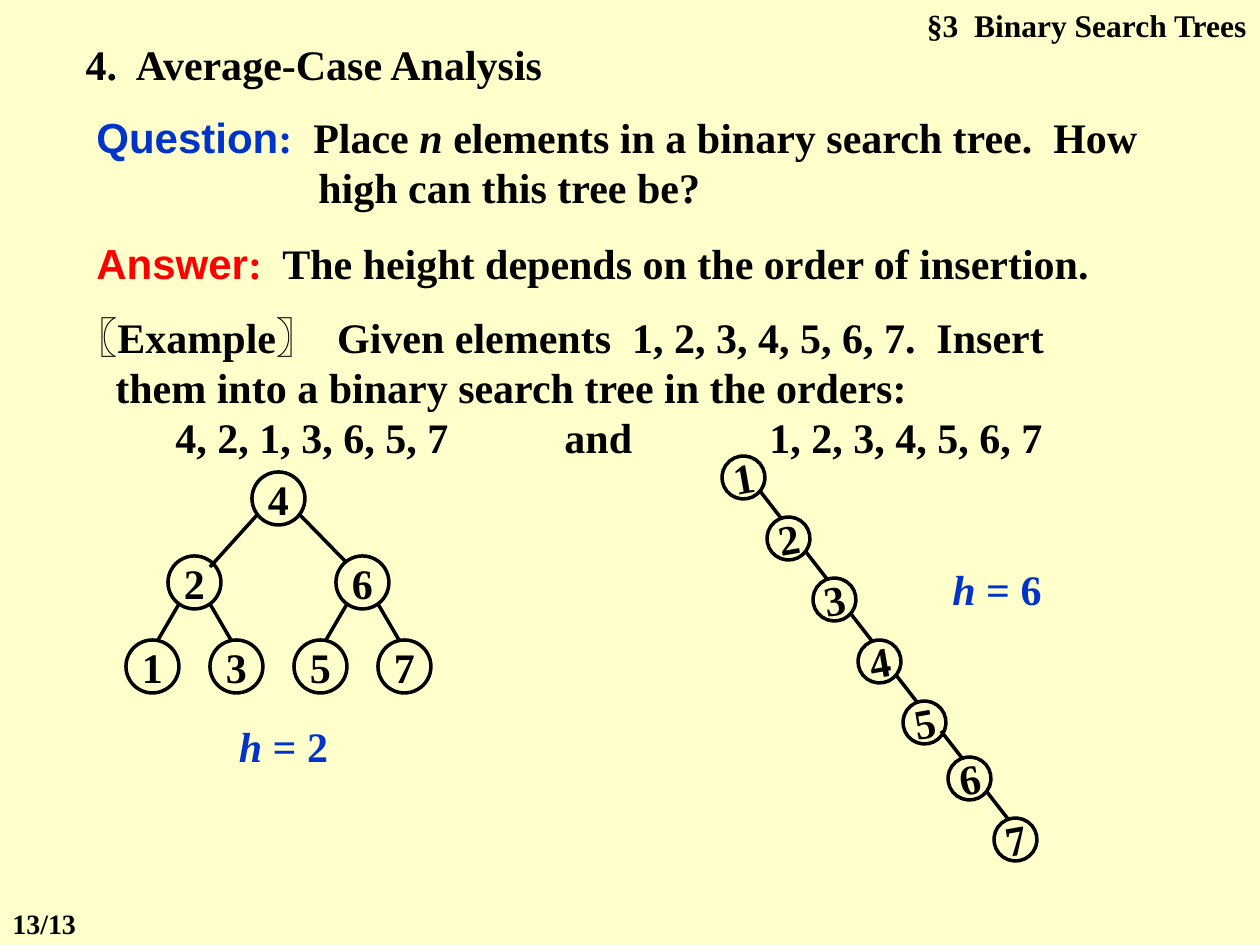
from lxml.etree import SubElement
from pptx import Presentation
from pptx.dml.color import RGBColor
from pptx.enum.shapes import MSO_CONNECTOR as Connector, MSO_SHAPE as Shape
from pptx.enum.text import MSO_ANCHOR as Anchor, MSO_AUTO_SIZE as AutoSize, PP_ALIGN as Align
from pptx.oxml.ns import qn
from pptx.util import Pt

PX = 914400 / 126
CREAM = RGBColor(0xFF, 0xFF, 0xCC)
BLACK = RGBColor(0, 0, 0)
BLUE = RGBColor(0, 0x33, 0xCC)
RED = RGBColor(0xFF, 0, 0)
SERIF, SANS = "Times New Roman", "Arial"


def px(length):
    return round(length * PX)


def add_run(paragraph, text, size=24, color=BLACK, font=SERIF, italic=False):
    run = paragraph.add_run()
    run.text = text
    run.font.size = Pt(size)
    run.font.name = font
    run.font.bold = True
    run.font.italic = italic
    run.font.color.rgb = color


def set_indent(paragraph, margin):
    properties = paragraph._p.get_or_add_pPr()
    properties.set("marL", str(px(margin)))
    properties.set("indent", str(-px(margin)))


def set_tabs(paragraph, stops):
    tabs = SubElement(paragraph._p.get_or_add_pPr(), qn("a:tabLst"))
    for stop in stops:
        SubElement(tabs, qn("a:tab"), pos=str(px(stop)), algn="l")


def add_text(slide, box, runs, align=Align.LEFT, margin=0):
    frame = slide.shapes.add_textbox(*map(px, box)).text_frame
    frame.word_wrap = True
    paragraph = frame.paragraphs[0]
    paragraph.alignment = align
    if margin:
        set_indent(paragraph, margin)
    for text, style in runs:
        add_run(paragraph, text, **style)
    return frame


def add_title(slide, box, text):
    title = slide.shapes.title
    title.left, title.top, title.width, title.height = map(px, box)
    frame = title.text_frame
    frame.auto_size = AutoSize.NONE
    frame.vertical_anchor = Anchor.TOP
    frame.paragraphs[0].alignment = Align.LEFT
    add_run(frame.paragraphs[0], text)


def add_example(slide, box):
    frame = add_text(slide, box, [
        ("〖Example〗  Given elements  1, 2, 3, 4, 5, 6, 7.  Insert "
         "them into a binary search tree in the orders:", {})], margin=40)
    orders = frame.add_paragraph()
    set_tabs(orders, (100, 489, 694))
    add_run(orders, "\t4, 2, 1, 3, 6, 5, 7\tand\t1, 2, 3, 4, 5, 6, 7")


def add_node(tree, x, y, size, key, rotation=0):
    node = tree.shapes.add_shape(Shape.OVAL, px(x), px(y), px(size), px(size))
    node.rotation = rotation
    node.shadow.inherit = False
    node.fill.background()
    node.line.color.rgb = BLACK
    node.line.width = Pt(2)
    frame = node.text_frame
    frame.word_wrap = False
    frame.vertical_anchor = Anchor.MIDDLE
    frame.paragraphs[0].alignment = Align.CENTER
    add_run(frame.paragraphs[0], str(key))


def add_edge(tree, x1, y1, x2, y2):
    edge = tree.shapes.add_connector(Connector.STRAIGHT, px(x1), px(y1), px(x2), px(y2))
    edge.line.color.rgb = BLACK
    edge.line.width = Pt(2)
    SubElement(edge._element.spPr, qn("a:effectLst"))


def add_balanced_tree(slide, left, top):
    tree = slide.shapes.add_group_shape()
    levels = ((4,), (2, 6), (1, 3, 5, 7))
    for depth, keys in enumerate(levels):
        for key in keys:
            add_node(tree, left + 42 * (key - 1), top + 84 * depth, 53, key)
    root_edges = [(132, 42, 84, 95), (173, 42, 220, 90)]
    leaf_edges = [(53 + shift, 132, 32 + shift, 168) for shift in (0, 168)]
    leaf_edges += [(84 + shift, 132, 105 + shift, 168) for shift in (0, 168)]
    for x1, y1, x2, y2 in root_edges + leaf_edges:
        add_edge(tree, left + x1, top + y1, left + x2, top + y2)


def add_chain_tree(slide, left, top):
    tree = slide.shapes.add_group_shape()
    for depth in range(7):
        x = left + round(45.3 * depth)
        y = top + round(61.2 * depth) - (5 if depth > 4 else 0)
        add_node(tree, x, y, 43, depth + 1, rotation=350)
        if depth:
            add_edge(tree, x - 7, y - 26, x + 14, y + 1)


def add_height(slide, box, height):
    add_text(slide, box, [("h", dict(color=BLUE, italic=True)),
                          (f" = {height}", dict(color=BLUE))], Align.CENTER)


def build_slide(deck):
    slide = deck.slides.add_slide(deck.slide_layouts[5])
    slide.background.fill.solid()
    slide.background.fill.fore_color.rgb = CREAM
    add_text(slide, (882, 0, 377, 50),
             [("§3  Binary Search Trees", dict(size=18))], Align.RIGHT)
    add_title(slide, (73, 32, 703, 63), "4.  Average-Case Analysis")
    add_text(slide, (84, 105, 1092, 113), [
        ("Question", dict(color=BLUE, font=SANS)),
        (":", dict(color=BLUE)),
        ("  Place ", {}),
        ("n", dict(italic=True)),
        (" elements in a binary search tree.  How high can this tree be?", {}),
    ], margin=222)
    add_text(slide, (84, 231, 1092, 63), [
        ("Answer", dict(color=RED, font=SANS)),
        (":", dict(color=RED)),
        ("  The height depends on the order of insertion.", {}),
    ], margin=222)
    add_example(slide, (63, 305, 1092, 164))
    add_balanced_tree(slide, 126, 472)
    add_height(slide, (168, 714, 231, 63), 2)
    add_chain_tree(slide, 722, 456)
    add_height(slide, (892, 557, 210, 63), 6)
    add_text(slide, (0, 900, 105, 46), [("13/13", dict(size=16))])


deck = Presentation()
deck.slide_width, deck.slide_height = px(1260), px(945)
build_slide(deck)
deck.save("out.pptx")
